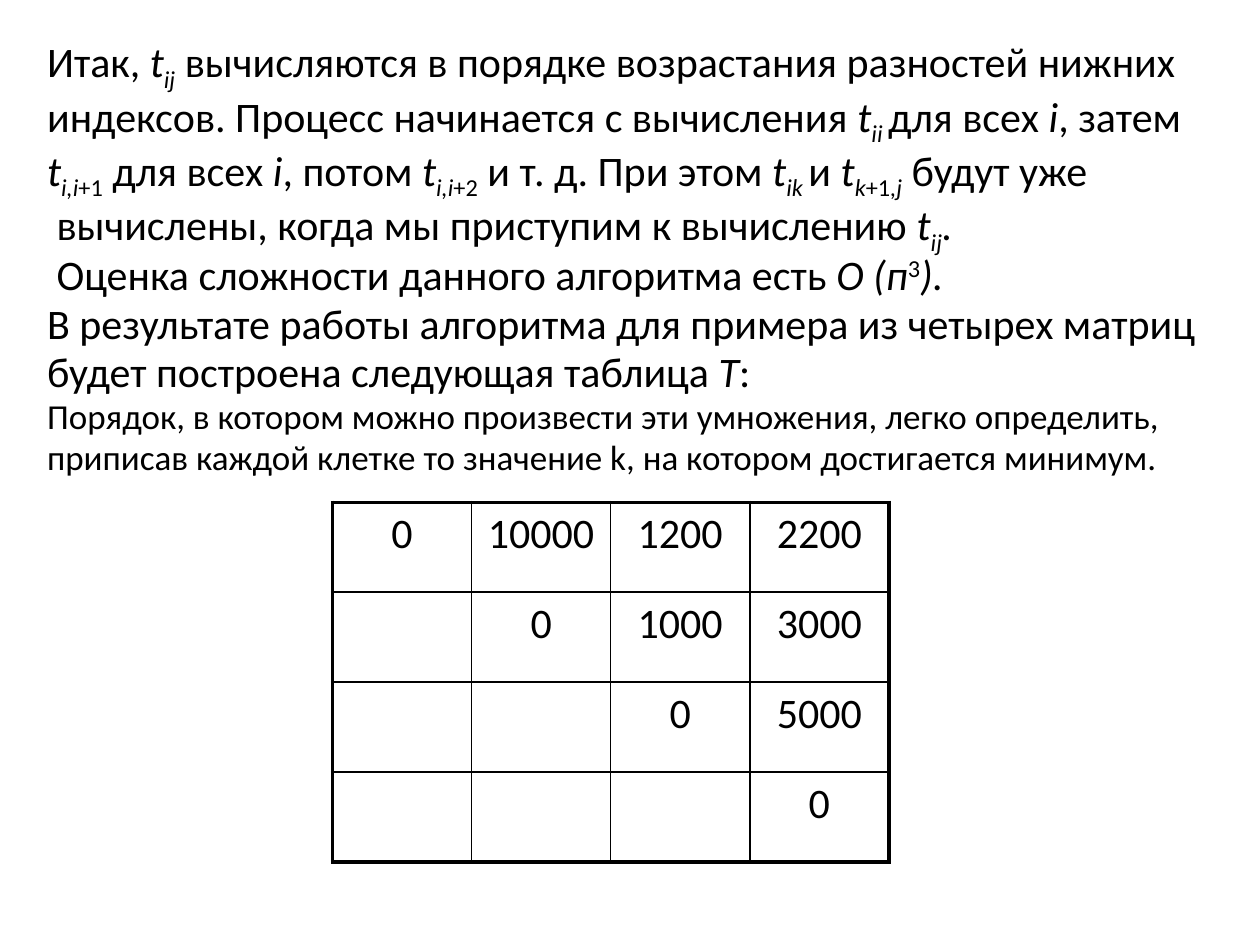
from dataclasses import dataclass

from lxml.etree import SubElement
from pptx import Presentation
from pptx.dml.color import RGBColor
from pptx.enum.text import PP_ALIGN as Align
from pptx.oxml.ns import qn
from pptx.util import Pt


@dataclass(frozen=True)
class Theme:
    """Colours, type sizes and line widths of the slide."""
    ink: RGBColor = RGBColor(0, 0, 0)
    font: str = "Calibri"
    body: int = 24
    note: int = 20
    line_spacing: float = 0.8
    space_before: float = 0.2
    frame: float = 2.25
    grid: float = 1


THEME = Theme()

# Run styles: i = italic, _ = subscript, ^ = superscript
BASELINES = {"_": "-25000", "^": "30000"}
BODY_LINES = [
    [("Итак, ", ""), ("t", "i"), ("ij", "i_"),
     (" вычисляются в порядке возрастания разностей нижних", "")],
    [("индексов. Процесс начинается с вычисления ", ""), ("t", "i"), ("ii ", "i_"),
     ("для всех ", ""), ("i", "i"), (", затем", "")],
    [("t", "i"), ("i,i", "i_"), ("+1", "_"), (" для всех ", ""), ("i", "i"),
     (", потом ", ""), ("t", "i"), ("i,i", "i_"), ("+2", "_"),
     (" и т. д. При этом ", ""), ("t", "i"), ("ik ", "i_"), ("и ", ""),
     ("t", "i"), ("k", "i_"), ("+1", "_"), (",j", "i_"), (" будут уже", "")],
    [(" вычислены, когда мы приступим к вычислению ", ""), ("t", "i"),
     ("ij", "i_"), (".", "i")],
    [(" Оценка сложности данного алгоритма есть ", ""), ("О (п", "i"),
     ("3", "^"), (").", "i")],
    [("В результате работы алгоритма для примера из четырех матриц", "")],
    [("будет построена следующая таблица ", ""), ("T", "i"), (":", "")],
]
NOTE_LINES = [
    [("Порядок, в котором можно произвести эти умножения, легко определить,", "")],
    [("приписав каждой клетке то значение k, на котором достигается минимум.", "")],
]
COSTS = [
    ["0", "10000", "1200", "2200"],
    ["", "0", "1000", "3000"],
    ["", "", "0", "5000"],
    ["", "", "", "0"],
]


def add_run(paragraph, text, size, style=""):
    """Add one run in the theme font with the given style marks."""
    run = paragraph.add_run()
    run.text = text
    font = run.font
    font.name, font.size = THEME.font, Pt(size)
    font.color.rgb = THEME.ink
    font.italic = "i" in style
    for mark, offset in BASELINES.items():
        if mark in style:
            font._element.set("baseline", offset)


def add_explanation(slide, left, top, width, height):
    """Place the explanatory text, one paragraph for each line."""
    frame = slide.shapes.add_textbox(Pt(left), Pt(top), Pt(width), Pt(height)).text_frame
    frame.word_wrap = True
    sized_lines = [(line, THEME.body) for line in BODY_LINES]
    sized_lines += [(line, THEME.note) for line in NOTE_LINES]
    for index, (line, size) in enumerate(sized_lines):
        paragraph = frame.add_paragraph() if index else frame.paragraphs[0]
        paragraph.line_spacing = THEME.line_spacing
        paragraph.space_before = Pt(size * THEME.space_before)
        properties = paragraph._p.get_or_add_pPr()
        properties.set("marL", str(Pt(27)))
        properties.set("indent", str(Pt(-27)))
        for text, style in line:
            add_run(paragraph, text, size, style)


def set_borders(cell, outer_sides):
    """Draw the cell borders, heavier on the outer sides of the table."""
    properties = cell._tc.get_or_add_tcPr()
    for position, side in enumerate("LRTB"):
        weight = THEME.frame if side in outer_sides else THEME.grid
        line = SubElement(properties, qn(f"a:ln{side}"), w=str(Pt(weight)))
        fill = SubElement(line, qn("a:solidFill"))
        SubElement(fill, qn("a:srgbClr"), val=str(THEME.ink))
        properties.remove(line)
        properties.insert(position, line)


def add_cost_table(slide, left, top, width, height):
    """Place the table of costs in equal rows and columns."""
    count = len(COSTS)
    table = slide.shapes.add_table(
        count, count, Pt(left), Pt(top), Pt(width), Pt(height)).table
    table.first_row = table.horz_banding = False
    for column in table.columns:
        column.width = Pt(width / count)
    for row_index, values in enumerate(COSTS):
        table.rows[row_index].height = Pt(height / count)
        for column_index, value in enumerate(values):
            cell = table.cell(row_index, column_index)
            cell.fill.background()
            edges = {"L": column_index == 0, "R": column_index == count - 1,
                     "T": row_index == 0, "B": row_index == count - 1}
            set_borders(cell, [side for side, outer in edges.items() if outer])
            if value:
                paragraph = cell.text_frame.paragraphs[0]
                paragraph.alignment = Align.CENTER
                paragraph.space_before = Pt(THEME.body * THEME.space_before)
                add_run(paragraph, value, THEME.body)


def main():
    """Build and save the slide."""
    presentation = Presentation()
    presentation.slide_width, presentation.slide_height = Pt(720), Pt(540)
    slide = presentation.slides.add_slide(presentation.slide_layouts[6])
    add_explanation(slide, 19.8, 20, 680, 255)
    add_cost_table(slide, 190, 287, 318, 205.6)
    presentation.save("out.pptx")


main()
